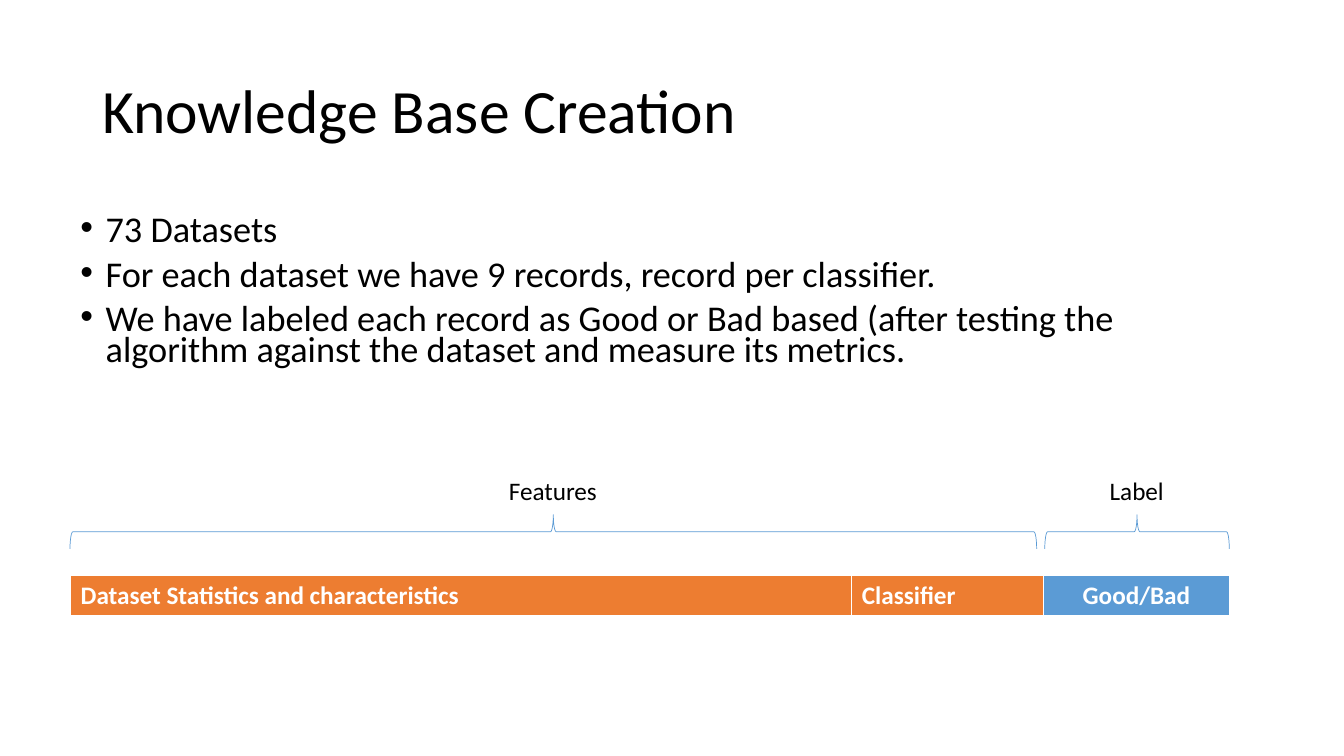
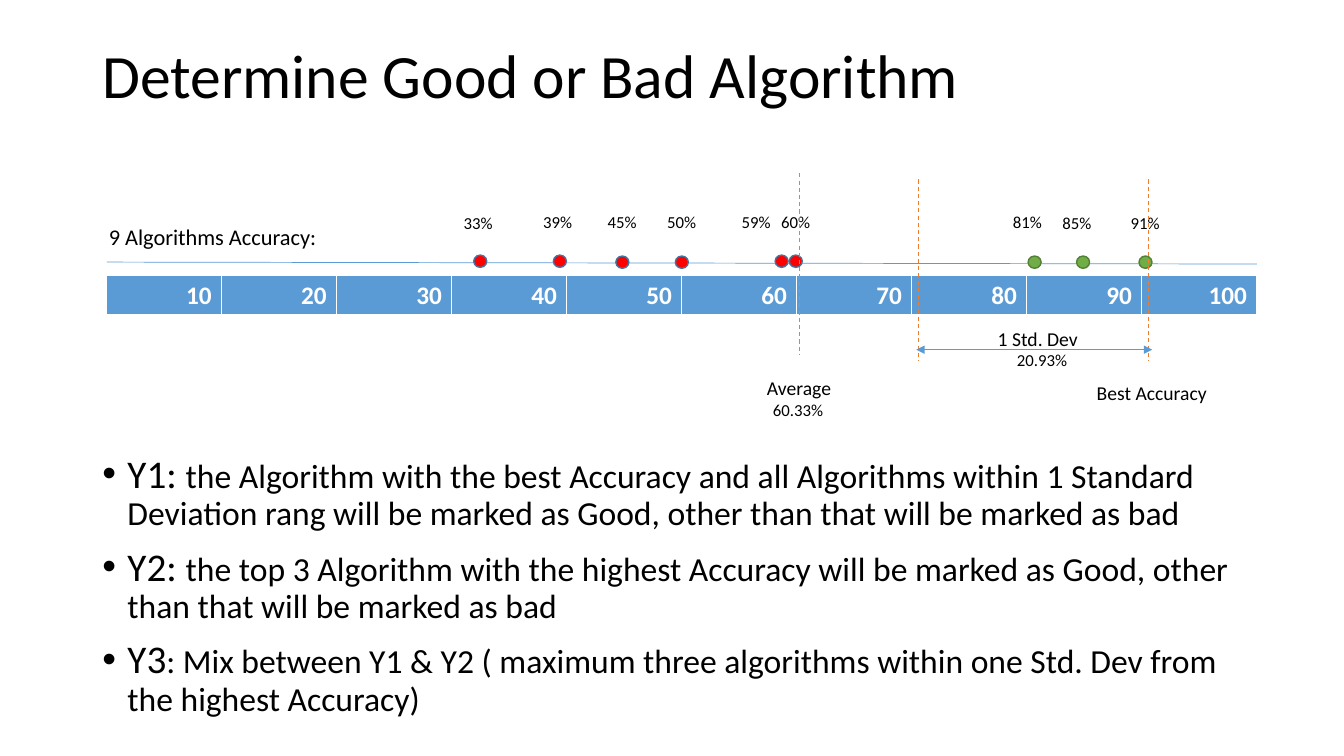
from lxml.etree import SubElement
from pptx import Presentation
from pptx.dml.color import RGBColor
from pptx.enum.dml import MSO_LINE
from pptx.enum.shapes import MSO_CONNECTOR, MSO_SHAPE as Shape
from pptx.enum.text import MSO_ANCHOR as Anchor, MSO_AUTO_SIZE as AutoSize, PP_ALIGN as Align
from pptx.oxml.ns import qn
from pptx.util import Pt

# Shared look
FONT = "Calibri"
BLACK = RGBColor(0x00, 0x00, 0x00)
WHITE = RGBColor(0xFF, 0xFF, 0xFF)
BLUE = RGBColor(0x5B, 0x9B, 0xD5)
DARK_BLUE = RGBColor(0x43, 0x73, 0x9E)
ORANGE = RGBColor(0xED, 0x7D, 0x31)
RED = RGBColor(0xFF, 0x00, 0x00)
GREEN = RGBColor(0x70, 0xAD, 0x47)
DARK_GREEN = RGBColor(0x53, 0x80, 0x35)
MARGIN, CONTENT_WIDTH = 66, 828
TITLE_TOP = 28.75

# Slide 1 content: bullets are lists of (text, size) runs
KNOWLEDGE_TITLE = "Knowledge Base Creation"
KNOWLEDGE_BULLETS = [[(text, 25.9)] for text in (
    "73 Datasets",
    "For each dataset we have 9 records, record per classifier.",
    "We have labeled each record as Good or Bad based (after testing the algorithm "
    "against the dataset and measure its metrics.",
)]
RECORD_CELLS = [  # text, width, fill, alignment
    ("Dataset Statistics and characteristics", 558, ORANGE, Align.LEFT),
    ("Classifier", 136.8, ORANGE, Align.LEFT),
    ("Good/Bad", 133.2, BLUE, Align.CENTER),
]
BRACES = [  # caption, caption left, caption width, brace left, brace right
    ("Features", 356.4, 77.8, 50, 740.5),
    ("Label", 785.5, 54, 746.3, 878.1),
]

# Slide 2 content
ALGORITHM_TITLE = "Determine Good or Bad Algorithm"
ALGORITHM_BULLETS = [
    [("Y1: ", 28), ("the Algorithm with the best Accuracy and all Algorithms within 1 Standard "
                    "Deviation rang will be marked as Good, other than that will be marked as bad", 24)],
    [("Y2: ", 28), ("the top 3 Algorithm with the highest Accuracy will be marked as Good, "
                    "other than that will be marked as bad", 24)],
    [("Y3", 28), (": Mix between Y1 & Y2 ( maximum three algorithms within one Std. Dev "
                  "from the highest Accuracy)", 24)],
]
SCALE_LEFT, SCALE_RIGHT = 76.3, 897.8
SCALE_CELLS = [(str(value), (SCALE_RIGHT - SCALE_LEFT) / 10, BLUE, Align.RIGHT)
               for value in range(10, 101, 10)]
ACCURACIES = [  # percent, dot left, dot top, label left, label top
    (33, 338.4, 182.2, 324, 148.3),
    (39, 395.3, 182.2, 380.9, 147.6),
    (45, 439.9, 182.9, 427, 147.6),
    (50, 482.4, 182.9, 469.4, 147.6),
    (59, 553.7, 182.2, 522.7, 147.6),
    (60, 563.8, 182.2, 550.8, 147.6),
    (81, 734.4, 182.9, 716.4, 147.6),
    (85, 769, 182.9, 751.7, 148.3),
    (91, 813.6, 182.9, 800.6, 148.3),
]
GOOD_FROM = 71
MARKERS = [(571, 123.8), (655.9, 128.2), (820.1, 128.2)]  # x, top
MARKER_HEIGHT = 129.6
CAPTIONS = [  # text, size, left, top, width
    ("9 Algorithms Accuracy:", 16, 70.6, 155.5, 164.2),
    ("Average", 14, 540.7, 265, 61.2),
    ("60.33%", 12, 545, 282.2, 51.1),
    ("Best Accuracy", 14, 776.2, 268.6, 94.3),
    ("1 Std. Dev", 14, 705.6, 229.7, 74.9),
    ("20.93%", 12, 719.3, 246.2, 51.1),
]


def format_run(run, size, color=BLACK, bold=False):
    run.font.name, run.font.size = FONT, Pt(size)
    run.font.color.rgb, run.font.bold = color, bold


def add_box(slide, left, top, width, height):
    frame = slide.shapes.add_textbox(Pt(left), Pt(top), Pt(width), Pt(height)).text_frame
    frame.word_wrap = True
    return frame


def add_title(slide, text, height):
    frame = add_box(slide, MARGIN, TITLE_TOP, CONTENT_WIDTH, height)
    frame.vertical_anchor = Anchor.MIDDLE
    frame.text = text
    frame.paragraphs[0].line_spacing = 0.9
    format_run(frame.paragraphs[0].runs[0], 44)


def add_caption(slide, text, size, left, top, width):
    frame = add_box(slide, left, top, width, size * 1.2 + 7.2)
    frame.word_wrap = False
    frame.auto_size = AutoSize.SHAPE_TO_FIT_TEXT
    frame.text = text
    format_run(frame.paragraphs[0].runs[0], size)


def add_bullets(slide, bullets, left, top, height, line_spacing):
    frame = add_box(slide, left, top, CONTENT_WIDTH, height)
    for index, runs in enumerate(bullets):
        paragraph = frame.add_paragraph() if index else frame.paragraphs[0]
        paragraph.line_spacing, paragraph.space_before = line_spacing, Pt(10)
        for text, size in runs:
            run = paragraph.add_run()
            run.text = text
            format_run(run, size)
        properties = paragraph._p.get_or_add_pPr()
        properties.set("marL", str(Pt(18)))
        properties.set("indent", str(Pt(-18)))
        SubElement(properties, qn("a:buFont"), typeface="Arial")
        SubElement(properties, qn("a:buChar"), char="•")


def set_borders(cell):
    properties = cell._tc.get_or_add_tcPr()
    for index, (side, width) in enumerate((("L", 1), ("R", 1), ("T", 1), ("B", 3))):
        border = SubElement(properties, qn(f"a:ln{side}"), w=str(Pt(width)))
        fill = SubElement(border, qn("a:solidFill"))
        SubElement(fill, qn("a:srgbClr"), val=str(WHITE))
        properties.insert(index, border)


def add_band(slide, cells, left, top, height):
    width = sum(cell_width for _, cell_width, _, _ in cells)
    table = slide.shapes.add_table(1, len(cells), Pt(left), Pt(top), Pt(width), Pt(height)).table
    table.first_row = table.horz_banding = False
    table.rows[0].height = Pt(height)
    for index, (text, cell_width, color, alignment) in enumerate(cells):
        table.columns[index].width = Pt(cell_width)
        cell = table.cell(0, index)
        cell.fill.solid()
        cell.fill.fore_color.rgb = color
        set_borders(cell)
        cell.text_frame.text = text
        paragraph = cell.text_frame.paragraphs[0]
        paragraph.alignment = alignment
        format_run(paragraph.runs[0], 18, WHITE, True)


def add_line(slide, start, end, color, width, dashed=False, arrows=False):
    line = slide.shapes.add_connector(MSO_CONNECTOR.STRAIGHT, *map(Pt, start + end))
    line.line.color.rgb, line.line.width = color, Pt(width)
    if dashed:
        line.line.dash_style = MSO_LINE.DASH
    if arrows:
        for tag in ("a:headEnd", "a:tailEnd"):
            SubElement(line.line._get_or_add_ln(), qn(tag), type="triangle")
    SubElement(line._element.spPr, qn("a:effectLst"))


def add_outlined(slide, kind, box, line_color, line_width, fill=None):
    shape = slide.shapes.add_shape(kind, *map(Pt, box))
    shape.shadow.inherit = False
    if fill is None:
        shape.fill.background()
    else:
        shape.fill.solid()
        shape.fill.fore_color.rgb = fill
    shape.line.color.rgb, shape.line.width = line_color, Pt(line_width)
    return shape


def add_top_brace(slide, left, right, top, depth):
    """Place a right brace so that, turned upwards, it spans left to right."""
    span = right - left
    box = ((left + right - depth) / 2, top + (depth - span) / 2, depth, span)
    add_outlined(slide, Shape.RIGHT_BRACE, box, BLUE, 0.5).rotation = 270


presentation = Presentation()
presentation.slide_width, presentation.slide_height = Pt(960), Pt(540)
blank = presentation.slide_layouts[6]

# Slide 1: record structure
slide = presentation.slides.add_slide(blank)
add_title(slide, KNOWLEDGE_TITLE, 104.4)
add_band(slide, RECORD_CELLS, 50.4, 411.1, 29.2)
for text, caption_left, caption_width, left, right in BRACES:
    add_top_brace(slide, left, right, 367.6, 24.4)
    add_caption(slide, text, 18, caption_left, 336.2, caption_width)
add_bullets(slide, KNOWLEDGE_BULLETS, 50.4, 152.6, 124.6, 0.7)

# Slide 2: accuracy scale
slide = presentation.slides.add_slide(blank)
add_title(slide, ALGORITHM_TITLE, 54.7)
add_line(slide, (SCALE_LEFT, 187.2), (SCALE_RIGHT, 188.6), BLUE, 0.5)
add_band(slide, SCALE_CELLS, SCALE_LEFT, 196.6, 28.8)
for percent, dot_left, dot_top, label_left, label_top in ACCURACIES:
    fill, outline = (GREEN, DARK_GREEN) if percent >= GOOD_FROM else (RED, DARK_BLUE)
    add_outlined(slide, Shape.FLOWCHART_CONNECTOR, (dot_left, dot_top, 9.3, 8.8), outline, 1, fill)
    add_caption(slide, f"{percent}%", 12, label_left, label_top, 35.3)
for x, top in MARKERS:
    add_line(slide, (x, top), (x, top + MARKER_HEIGHT), ORANGE, 0.75, dashed=True)
add_line(slide, (823, 249.8), (654.5, 249.8), BLUE, 0.5, arrows=True)
for caption in CAPTIONS:
    add_caption(slide, *caption)
add_bullets(slide, ALGORITHM_BULLETS, MARGIN, 321.1, 200.2, 0.9)

presentation.save("out.pptx")
